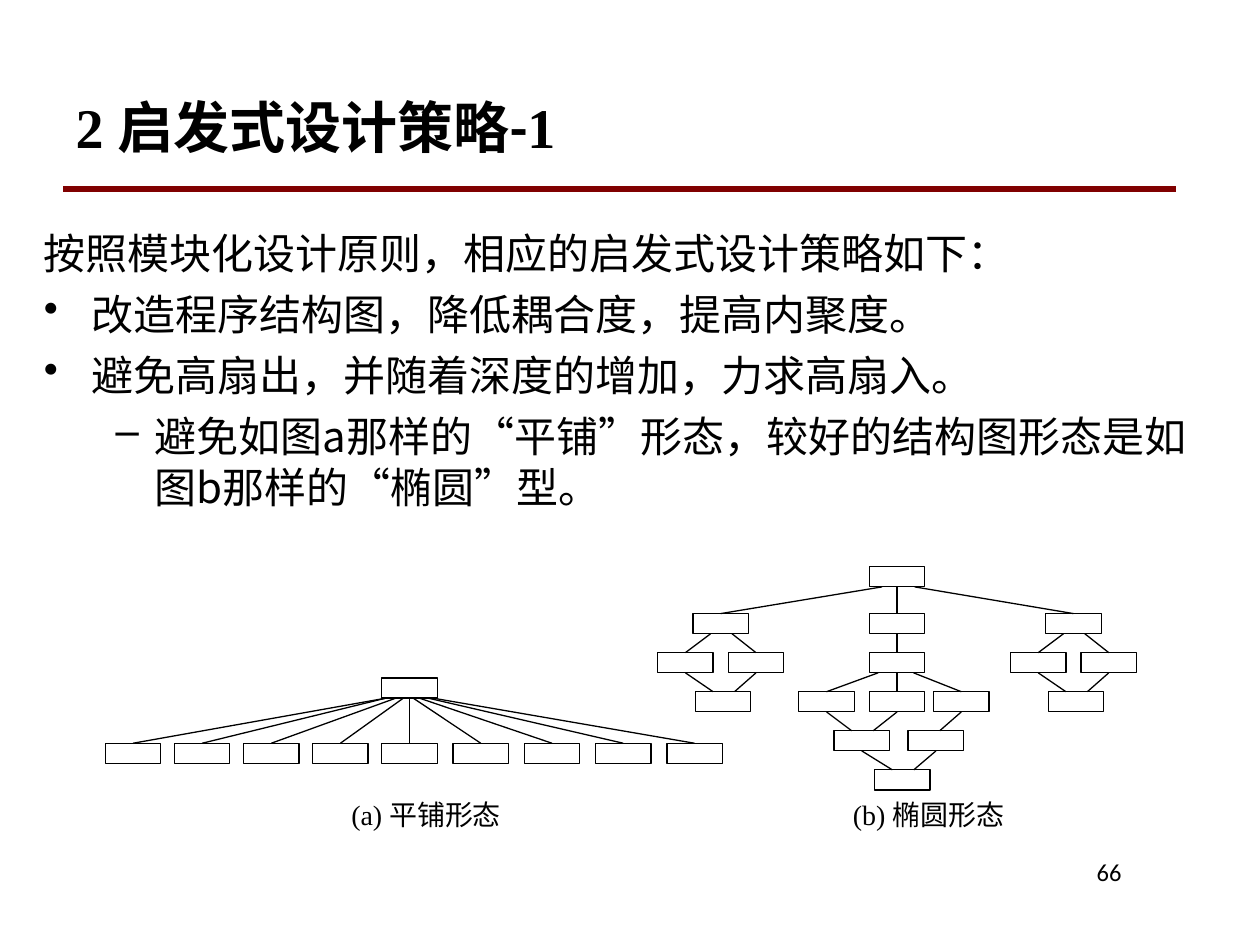
"""Build the slide on heuristic design strategies with two structure charts."""
from lxml.etree import SubElement
from pptx import Presentation
from pptx.dml.color import RGBColor
from pptx.enum.shapes import MSO_CONNECTOR, MSO_SHAPE
from pptx.enum.text import MSO_ANCHOR, PP_ALIGN
from pptx.oxml.ns import qn
from pptx.util import Inches, Pt

THEME = {
    "ink": RGBColor(0, 0, 0), "rule": RGBColor(0x80, 0, 0),
    "serif": "Times New Roman", "sans": "Calibri", "chinese": "Noto Sans CJK SC",
    "title": 32, "body": 24, "caption": 16, "number": 14, "leading": 29, "gap": 6,
    "rule_width": 3, "line_width": 0.75,
}
COLUMN, ROW = 0.28, 0.31
TRUNK, FIRST_ROW = 7.12, 4.87
BOX_WIDTH, BOX_HEIGHT = 0.44, 0.16


def write(para, text, size, font, bold=False, bullet=None, left=0, hanging=0,
          align=PP_ALIGN.LEFT, before=0, leading=None):
    """Add one formatted run to a paragraph."""
    properties = para._p.get_or_add_pPr()
    properties.set("marL", str(Inches(left)))
    properties.set("indent", str(Inches(-hanging)))
    para.alignment = align
    para.space_before = Pt(before)
    if leading:
        para.line_spacing = Pt(leading)
    if bullet:
        SubElement(properties, qn("a:buChar")).set("char", bullet)
    else:
        SubElement(properties, qn("a:buNone"))
    span = para.add_run()
    span.text = text
    span.font.size, span.font.bold, span.font.name = Pt(size), bold, font
    span.font.color.rgb = THEME["ink"]
    SubElement(span._r.get_or_add_rPr(), qn("a:ea")).set("typeface", THEME["chinese"])


def draw_line(start, end, color, width):
    """Add a straight connector between two points in inches."""
    line = page.shapes.add_connector(
        MSO_CONNECTOR.STRAIGHT, *[Inches(length) for length in (*start, *end)])
    line.line.color.rgb = color
    line.line.width = Pt(width)
    SubElement(line._element.spPr, qn("a:effectLst"))
    return line


deck = Presentation()
deck.slide_width, deck.slide_height = Inches(10), Inches(7.5)
page = deck.slides.add_slide(deck.slide_layouts[5])

draw_line((0.5, 1.5), (9.33, 1.5), THEME["rule"], THEME["rule_width"])

title = page.shapes.title
title.left, title.top, title.width, title.height = [
    Inches(length) for length in (0.5, 0.5, 8.83, 1)]
title.text_frame.vertical_anchor = MSO_ANCHOR.MIDDLE
for text, font in (("2 ", "serif"), ("启发式设计策略-", "sans"), ("1", "serif")):
    write(title.text_frame.paragraphs[0], text, THEME["title"], THEME[font], bold=True)

body = page.shapes.add_textbox(Inches(0.25), Inches(1.75), Inches(9.33), Inches(3))
body.text_frame.word_wrap = True
strategies = [
    ("按照模块化设计原则，相应的启发式设计策略如下：", None, 0.38, 0.38),
    ("改造程序结构图，降低耦合度，提高内聚度。", "•", 0.38, 0.38),
    ("避免高扇出，并随着深度的增加，力求高扇入。", "•", 0.38, 0.38),
    ("避免如图a那样的“平铺”形态，较好的结构图形态是如图b那样的“椭圆”型。", "–", 0.88, 0.31),
]
for index, (text, bullet, left, hanging) in enumerate(strategies):
    para = body.text_frame.add_paragraph() if index else body.text_frame.paragraphs[0]
    write(para, text, THEME["body"], THEME["chinese"], bullet=bullet, left=left,
          hanging=hanging, before=THEME["gap"] if index else 0, leading=THEME["leading"])

modules = {
    "root": (0, -1.2), "trunk": (0, 0), "hub": (0, 1),
    "hub left": (-2, 2), "hub middle": (0, 2), "hub right": (1.82, 2),
    "join left": (-1, 3), "join right": (1.1, 3), "base": (0.15, 4),
    "flat root": (-13.82, 1.65),
}
links = [
    ("root", "trunk", 0), ("trunk", "hub", 0),
    ("hub", "hub left", -0.15), ("hub", "hub middle", 0), ("hub", "hub right", 0.13),
    ("join left", "hub left", -0.08), ("join left", "hub middle", 0.09),
    ("join right", "hub right", 0.03),
    ("base", "join left", -0.08), ("base", "join right", 0.09),
]
for side, center, shift in (("west", -5, -0.12), ("east", 5, 0.14)):
    top, bottom = f"{side} top", f"{side} bottom"
    modules[top] = (center, 0)
    modules[bottom] = (center + 0.07, 2)
    links.append(("root", top, shift))
    for step, offset in ((-1, -0.08), (1, 0.09)):
        middle = f"{side} middle {step}"
        modules[middle] = (center + step, 1)
        links += [(top, middle, offset), (bottom, middle, offset)]
flat_shifts = [-0.19, -0.19, -0.11, -0.05, 0, 0.03, 0.08, 0.15, 0.19]
for position, shift in enumerate(flat_shifts, -4):
    leaf = f"flat leaf {position}"
    spacing = 1.96 if position < 0 else 2.02
    modules[leaf] = (modules["flat root"][0] + position * spacing, 3.32)
    links.append(("flat root", leaf, shift))

boxes = {}
for name, (column, row) in modules.items():
    box = page.shapes.add_shape(
        MSO_SHAPE.RECTANGLE, Inches(TRUNK + column * COLUMN - BOX_WIDTH / 2),
        Inches(FIRST_ROW + row * ROW), Inches(BOX_WIDTH), Inches(BOX_HEIGHT))
    box.shadow.inherit = False
    box.fill.background()
    box.line.color.rgb = THEME["ink"]
    box.line.width = Pt(THEME["line_width"])
    boxes[name] = box

for source, target, shift in links:
    column, row = modules[source]
    downward = modules[target][1] > row
    start = (TRUNK + column * COLUMN + shift,
             FIRST_ROW + row * ROW + (BOX_HEIGHT if downward else 0))
    link = draw_line(start, start, THEME["ink"], THEME["line_width"])
    if shift == 0:
        link.begin_connect(boxes[source], 2 if downward else 0)
    link.end_connect(boxes[target], 0 if downward else 2)

labels = [
    ("(a) 平铺形态", 2.36, 6.28, 1.91, 0.38, "caption", "serif", 0.33, PP_ALIGN.LEFT),
    ("(b) 椭圆形态", 6.23, 6.28, 1.91, 0.38, "caption", "serif", 0.44, PP_ALIGN.LEFT),
    ("66", 7.58, 6.75, 1.42, 0.5, "number", "sans", 0, PP_ALIGN.RIGHT),
]
for text, left, top, width, height, size, font, indent, align in labels:
    label = page.shapes.add_textbox(Inches(left), Inches(top), Inches(width), Inches(height))
    label.text_frame.word_wrap = True
    write(label.text_frame.paragraphs[0], text, THEME[size], THEME[font],
          left=indent, align=align)

deck.save("out.pptx")
